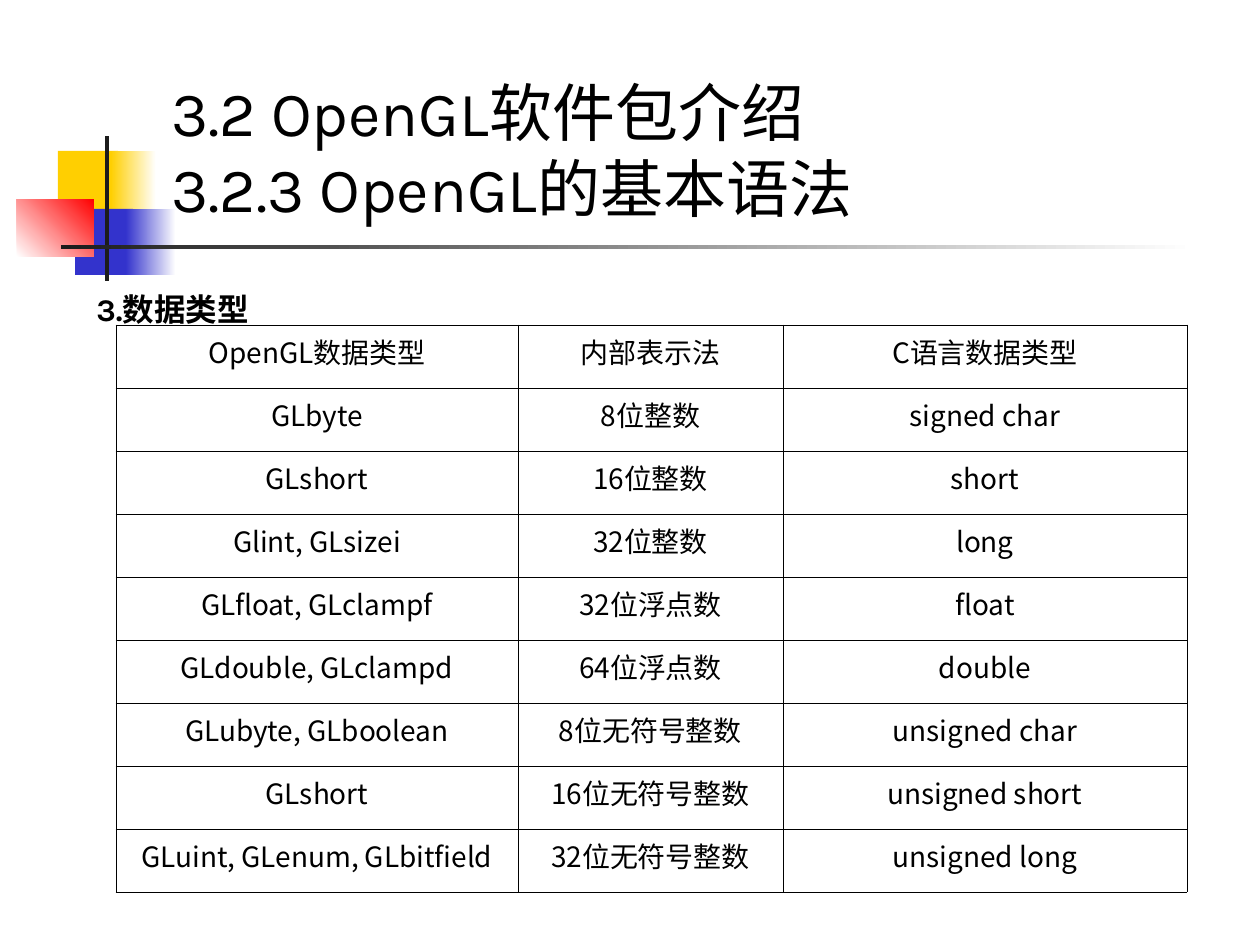
from dataclasses import dataclass

from pptx import Presentation
from pptx import util as u
from pptx.dml.color import RGBColor
from pptx.enum import shapes, text
from pptx.oxml import parse_xml
from pptx.oxml.ns import nsdecls, qn

SCALE = 914400 / 126


@dataclass(frozen=True)
class Theme:
    ink: str = "000000"
    paper: str = "FFFFFF"
    yellow: str = "FFCF01"
    blue: str = "3333CC"
    red: str = "FF0000"
    bar: str = "1C1C1C"
    heading_font: str = "Karla"
    table_font: str = "Noto Sans CJK SC"
    title_size: int = 36
    caption_size: int = 18
    table_size: int = 16
    border: float = 0.45


THEME = Theme()

TITLE = "3.2 OpenGL软件包介绍\v3.2.3 OpenGL的基本语法"
CAPTION = "3.数据类型"
DATA_TYPES = [
    ("OpenGL数据类型", "内部表示法", "C语言数据类型"),
    ("GLbyte", "8位整数", "signed char"),
    ("GLshort", "16位整数", "short"),
    ("Glint, GLsizei", "32位整数", "long"),
    ("GLfloat, GLclampf", "32位浮点数", "float"),
    ("GLdouble, GLclampd", "64位浮点数", "double"),
    ("GLubyte, GLboolean", "8位无符号整数", "unsigned char"),
    ("GLshort", "16位无符号整数", "unsigned short"),
    ("GLuint, GLenum, GLbitfield", "32位无符号整数", "unsigned long"),
]


def px(length):
    return u.Emu(round(length * SCALE))


def format_runs(paragraph, font_name, size, bold=False):
    for run in paragraph.runs:
        font = run.font
        font.name, font.size, font.bold = font_name, u.Pt(size), bold
        font.color.rgb = RGBColor.from_string(THEME.ink)
        east_asian = parse_xml(f'<a:ea {nsdecls("a")} typeface="{font_name}"/>')
        run._r.get_or_add_rPr().find(qn("a:latin")).addnext(east_asian)


def add_block(slide, box, colors, angle=0):
    """Draw a rectangle in one colour, or a gradient between two."""
    shape = slide.shapes.add_shape(shapes.MSO_SHAPE.RECTANGLE, *map(px, box))
    shape.shadow.inherit = False
    shape.line.fill.background()
    if len(colors) == 1:
        shape.fill.solid()
        shape.fill.fore_color.rgb = RGBColor.from_string(colors[0])
        return
    shape.fill.gradient()
    shape.fill.gradient_angle = angle
    for stop, color in zip(shape.fill.gradient_stops, colors):
        stop.color.rgb = RGBColor.from_string(color)


def add_ornament(slide, left, top):
    """Coloured squares crossed by a vertical bar and a fading rule."""
    blocks = [
        ((41, 15, 60, 66), [THEME.yellow], 0),
        ((94, 15, 45, 66), [THEME.yellow, THEME.paper], 0),
        ((58, 73, 58, 66), [THEME.blue], 0),
        ((109, 73, 50, 66), [THEME.blue, THEME.paper], 0),
        ((0, 63, 77, 58), [THEME.paper, THEME.red], 45),
        ((88, 0, 4, 145), [THEME.bar], 0),
        ((44, 109, 1134, 4), [THEME.bar, THEME.paper], 0),
    ]
    for (x, y, width, height), colors, angle in blocks:
        add_block(slide, (left + x, top + y, width, height), colors, angle)


def add_heading(slide, box, words, size, anchor, bold=False):
    frame = slide.shapes.add_textbox(*map(px, box)).text_frame
    frame.word_wrap = True
    frame.vertical_anchor = anchor
    frame.text = words
    format_runs(frame.paragraphs[0], THEME.heading_font, size, bold)


def add_borders(cell):
    properties = cell._tc.get_or_add_tcPr()
    for side in "LRTB":
        properties.append(parse_xml(
            f'<a:ln{side} {nsdecls("a")} w="{u.Pt(THEME.border)}"><a:solidFill>'
            f'<a:srgbClr val="{THEME.ink}"/></a:solidFill></a:ln{side}>'))


def add_type_table(slide, left, top, widths, row_height, rows):
    table = slide.shapes.add_table(
        len(rows), len(widths), px(left), px(top),
        px(sum(widths)), px(row_height * len(rows))).table
    table.first_row = table.horz_banding = False
    for column, width in zip(table.columns, widths):
        column.width = px(width)
    for row, words in zip(table.rows, rows):
        row.height = px(row_height)
        for cell, word in zip(row.cells, words):
            add_borders(cell)
            cell.fill.background()
            cell.text = word
            paragraph = cell.text_frame.paragraphs[0]
            paragraph.alignment = text.PP_ALIGN.CENTER
            format_runs(paragraph, THEME.table_font, THEME.table_size)


def build():
    presentation = Presentation()
    presentation.slide_width, presentation.slide_height = px(1260), px(945)
    slide = presentation.slides.add_slide(presentation.slide_layouts[6])

    # Decoration
    add_ornament(slide, 17, 136)

    # Title and caption
    add_heading(slide, (159, 29, 1074, 202), TITLE, THEME.title_size,
                text.MSO_ANCHOR.BOTTOM)
    add_heading(slide, (84, 284, 1040, 88), CAPTION, THEME.caption_size,
                text.MSO_ANCHOR.TOP, bold=True)

    # Data types
    add_type_table(slide, 116, 325, (402, 265, 404), 63, DATA_TYPES)
    presentation.save("out.pptx")


build()
